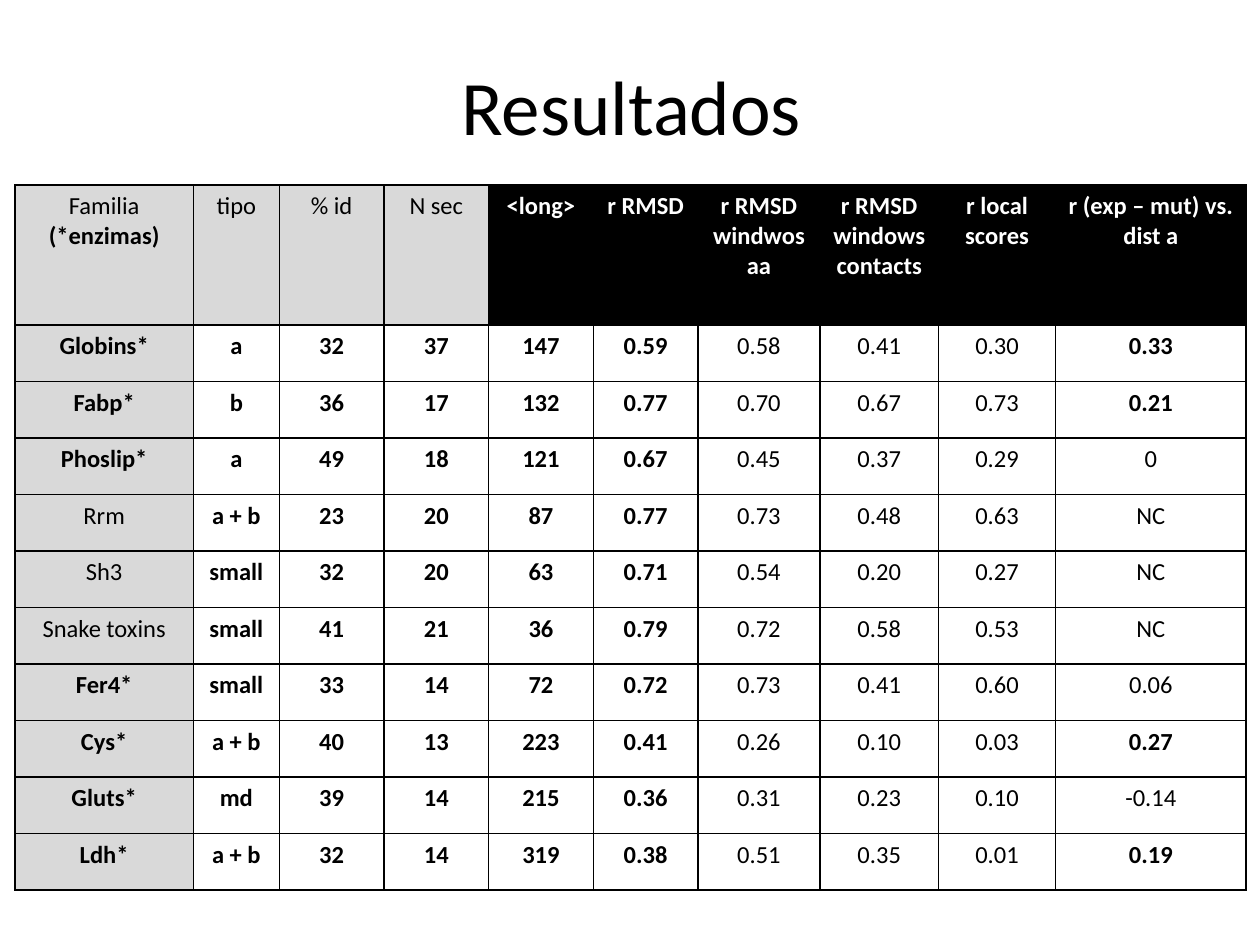
from pptx import Presentation
from pptx.dml.color import RGBColor
from pptx.enum.text import MSO_VERTICAL_ANCHOR as Anchor, PP_PARAGRAPH_ALIGNMENT as Align
from pptx.oxml import parse_xml
from pptx.oxml.ns import nsdecls
from pptx.util import Cm, Pt

BLACK = RGBColor(0x00, 0x00, 0x00)
WHITE = RGBColor(0xFF, 0xFF, 0xFF)
GRAY = RGBColor(0xD9, 0xD9, 0xD9)

HEADERS = ["Familia", "tipo", "% id", "N sec", "<long>", "r RMSD", "r RMSD windwos aa",
           "r RMSD windows contacts", "r local scores", "r (exp – mut) vs. dist a"]
FAMILIES = [
    ["Globins*", "a", "32", "37", "147", "0.59", "0.58", "0.41", "0.30", "0.33"],
    ["Fabp*", "b", "36", "17", "132", "0.77", "0.70", "0.67", "0.73", "0.21"],
    ["Phoslip*", "a", "49", "18", "121", "0.67", "0.45", "0.37", "0.29", "0"],
    ["Rrm", "a + b", "23", "20", "87", "0.77", "0.73", "0.48", "0.63", "NC"],
    ["Sh3", "small", "32", "20", "63", "0.71", "0.54", "0.20", "0.27", "NC"],
    ["Snake toxins", "small", "41", "21", "36", "0.79", "0.72", "0.58", "0.53", "NC"],
    ["Fer4*", "small", "33", "14", "72", "0.72", "0.73", "0.41", "0.60", "0.06"],
    ["Cys*", "a + b", "40", "13", "223", "0.41", "0.26", "0.10", "0.03", "0.27"],
    ["Gluts*", "md", "39", "14", "215", "0.36", "0.31", "0.23", "0.10", "-0.14"],
    ["Ldh*", "a + b", "32", "14", "319", "0.38", "0.51", "0.35", "0.01", "0.19"],
]
HIGH_CORRELATIONS = {"0.33", "0.21", "0.27", "0.19"}
COLUMN_WIDTHS = [3.6, 1.73, 2.11, 2.11, 2.11, 2.11, 2.46, 2.39, 2.36, 3.84]
HEADER_HEIGHT, ROW_HEIGHT = 2.82, 1.14


def write(paragraph, text, size=14, bold=False, color=BLACK):
    paragraph.alignment = Align.CENTER
    run = paragraph.add_run()
    run.text = text
    run.font.name = "Calibri"
    run.font.size = Pt(size)
    run.font.bold = bold
    run.font.color.rgb = color


def add_borders(cell):
    properties = cell._tc.get_or_add_tcPr()
    for position, side in enumerate(("lnL", "lnR", "lnT", "lnB")):
        properties.insert(position, parse_xml(
            f'<a:{side} {nsdecls("a")} w="{Pt(1)}"><a:solidFill>'
            f'<a:srgbClr val="{BLACK}"/></a:solidFill></a:{side}>'))


presentation = Presentation()
presentation.slide_width, presentation.slide_height = Cm(25.4), Cm(19.05)
slide = presentation.slides.add_slide(presentation.slide_layouts[6])

# Title
title = slide.shapes.add_textbox(Cm(1.3), Cm(0.53), Cm(22.86), Cm(3.18))
title.text_frame.word_wrap = True
title.text_frame.vertical_anchor = Anchor.MIDDLE
write(title.text_frame.paragraphs[0], "Resultados", size=44)

# Table grid
table = slide.shapes.add_table(
    len(FAMILIES) + 1, len(HEADERS), Cm(0.3), Cm(3.73), Cm(sum(COLUMN_WIDTHS)),
    Cm(HEADER_HEIGHT + ROW_HEIGHT * len(FAMILIES))).table
table.first_row = table.horz_banding = False
for column, width in zip(table.columns, COLUMN_WIDTHS):
    column.width = Cm(width)
for index, row in enumerate(table.rows):
    row.height = Cm(ROW_HEIGHT if index else HEADER_HEIGHT)

# Header row: gray for the family data, black for the results
for index, text in enumerate(HEADERS):
    cell = table.cell(0, index)
    is_result = index >= 4
    cell.fill.solid()
    cell.fill.fore_color.rgb = BLACK if is_result else GRAY
    write(cell.text_frame.paragraphs[0], text, bold=is_result,
          color=WHITE if is_result else BLACK)
    add_borders(cell)
write(table.cell(0, 0).text_frame.add_paragraph(), "(*enzimas)", bold=True)

# Family rows: enzymes and high correlations in bold
for row_index, values in enumerate(FAMILIES, start=1):
    for index, text in enumerate(values):
        cell = table.cell(row_index, index)
        if index == 0:
            cell.fill.solid()
            cell.fill.fore_color.rgb = GRAY
            bold = text.endswith("*")
        else:
            cell.fill.background()
            bold = index <= 5 or (index == 9 and text in HIGH_CORRELATIONS)
        write(cell.text_frame.paragraphs[0], text, bold=bold)
        add_borders(cell)

presentation.save("out.pptx")
